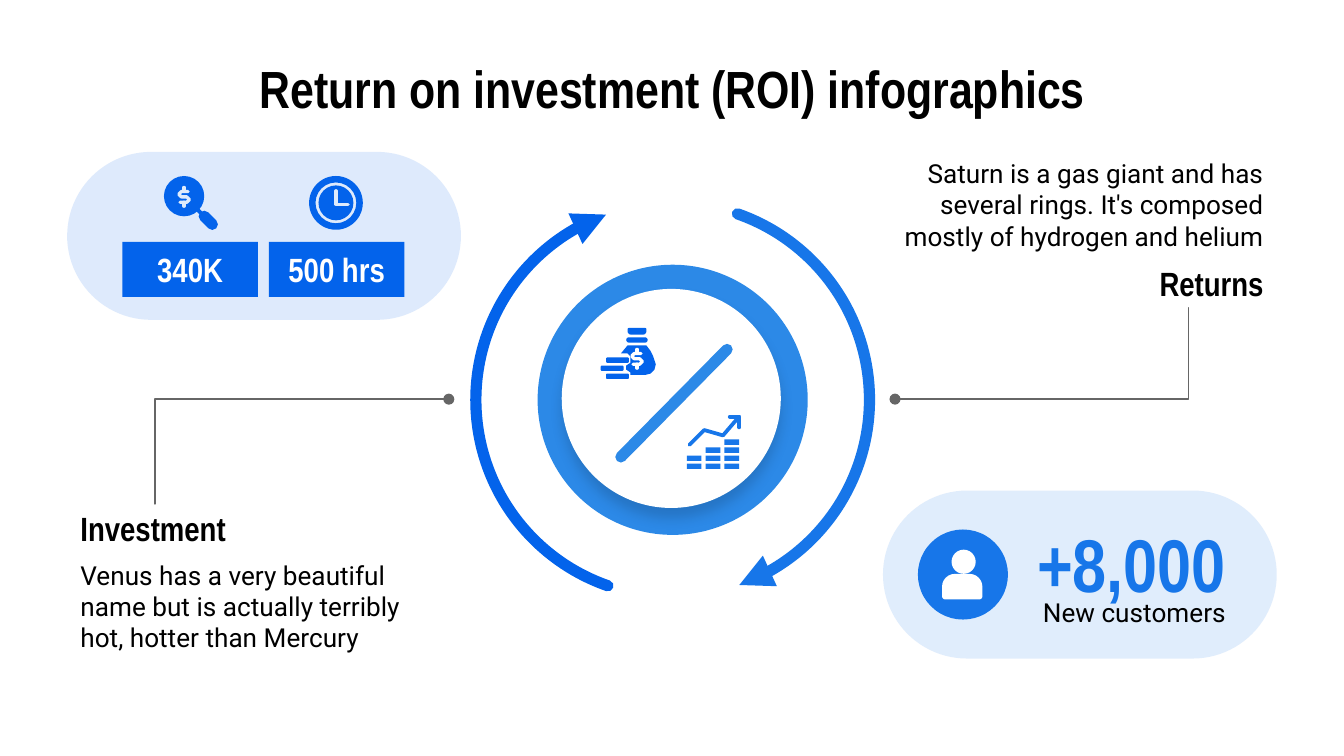
"""Build a slide that sets an investment against its returns around a cycle."""
from dataclasses import dataclass

from lxml import etree
from pptx import Presentation
from pptx.dml.color import RGBColor
from pptx.enum.shapes import MSO_CONNECTOR, MSO_SHAPE
from pptx.enum.text import MSO_ANCHOR, PP_ALIGN
from pptx.oxml.ns import qn
from pptx.util import Inches, Pt

COLORS = {"ink": "000000", "white": "FFFFFF", "grey": "666666", "deep": "0363EB",
          "bright": "1776E9", "ring": "2C89E7", "tint": "DEEBFC"}
HEAD, BODY = "Arial Narrow", "Roboto"
LEFT, CENTER, RIGHT = PP_ALIGN.LEFT, PP_ALIGN.CENTER, PP_ALIGN.RIGHT
MIDDLE = MSO_ANCHOR.MIDDLE
RECT, OVAL, PILL = MSO_SHAPE.RECTANGLE, MSO_SHAPE.OVAL, MSO_SHAPE.ROUNDED_RECTANGLE
ARC, DONUT, CAP = MSO_SHAPE.ARC, MSO_SHAPE.DONUT, MSO_SHAPE.ROUND_2_SAME_RECTANGLE
STRAIGHT, ELBOW = MSO_CONNECTOR.STRAIGHT, MSO_CONNECTOR.ELBOW
TOP_SITE, BOTTOM_SITE = 0, 2

deck = Presentation()
deck.slide_width, deck.slide_height = Inches(10), Inches(5.625)
COLUMN, ROW = deck.slide_width / 10, deck.slide_height / 5.625
slide = deck.slides.add_slide(deck.slide_layouts[5])
shapes = slide.shapes


@dataclass(frozen=True)
class Box:
    """An area in columns and rows of the slide grid."""
    left: float
    top: float
    width: float
    height: float

    def emu(self) -> tuple:
        return (round(self.left * COLUMN), round(self.top * ROW),
                round(self.width * COLUMN), round(self.height * ROW))


@dataclass(frozen=True)
class Topic:
    """A heading with its text and the leader that starts at the cycle."""
    heading: str
    heading_box: Box
    text: str
    text_box: Box
    align: PP_ALIGN
    leader_start: tuple
    site: int


@dataclass(frozen=True)
class Part:
    """One solid piece of an icon."""
    kind: MSO_SHAPE
    box: Box
    color: str
    adjust: tuple = ()


@dataclass(frozen=True)
class Stroke:
    """One drawn line of an icon."""
    points: tuple
    color: str
    weight: float


def rgb(name: str) -> RGBColor:
    return RGBColor.from_string(COLORS[name])


def grid(point: tuple) -> tuple:
    return round(point[0] * COLUMN), round(point[1] * ROW)


def write(target, text: str, *, font=BODY, size=14, color="ink", bold=False, align=LEFT):
    """Put formatted text in a shape."""
    frame = target.text_frame
    frame.word_wrap, frame.vertical_anchor = True, MIDDLE
    frame.margin_left = frame.margin_right = frame.margin_top = frame.margin_bottom = Inches(0.1)
    paragraph = frame.paragraphs[0]
    paragraph.text, paragraph.alignment = text, align
    face = paragraph.runs[0].font
    face.name, face.size, face.bold = font, Pt(size), bold
    face.color.rgb = rgb(color)


def label(box: Box, text: str, **style):
    """Add a text box."""
    holder = shapes.add_textbox(*box.emu())
    write(holder, text, **style)
    return holder


def solid(shape, color: str, opacity: int = 100):
    """Fill a shape and drop its outline and shadow."""
    shape.shadow.inherit = False
    shape.line.fill.background()
    shape.fill.solid()
    shape.fill.fore_color.rgb = rgb(color)
    if opacity < 100:
        shade = shape.element.spPr.find(qn("a:solidFill"))[0]
        etree.SubElement(shade, qn("a:alpha"), val=str(opacity * 1000))


def preset(kind, box: Box, color: str, adjust: tuple = (), opacity: int = 100):
    """Add a filled preset shape."""
    shape = shapes.add_shape(kind, *box.emu())
    for index, value in enumerate(adjust):
        shape.adjustments[index] = value
    solid(shape, color, opacity)
    return shape


def outline(shape, color: str, weight: float, **ends):
    """Style a round line, with optional headEnd and tailEnd."""
    shape.line.color.rgb, shape.line.width = rgb(color), Pt(weight)
    properties = shape.element.spPr
    line = properties.find(qn("a:ln"))
    line.set("cap", "rnd")
    etree.SubElement(line, qn("a:round"))
    for end, style in ends.items():
        etree.SubElement(line, qn(f"a:{end}"), type=style)
    if properties.find(qn("a:effectLst")) is None:
        etree.SubElement(properties, qn("a:effectLst"))


def path_through(points: tuple, close: bool):
    builder = shapes.build_freeform(*grid(points[0]))
    builder.add_line_segments([grid(point) for point in points[1:]], close=close)
    shape = builder.convert_to_shape()
    shape.shadow.inherit = False
    return shape


def draw(piece):
    """Draw a part or a stroke of an icon."""
    if isinstance(piece, Part):
        preset(piece.kind, piece.box, piece.color, piece.adjust)
        return
    shape = path_through(piece.points, False)
    shape.fill.background()
    outline(shape, piece.color, piece.weight)


def dollar(x: float, y: float, color: str) -> list:
    """Give the strokes of a dollar sign centred on a point."""
    curve = ((.03, -.04), (-.02, -.04), (-.04, -.02), (-.02, 0), (.02, 0),
             (.04, .02), (.02, .04), (-.03, .04))
    bars = [((0, -.07), (0, -.04)), ((0, .04), (0, .07))]
    return [Stroke(tuple((x + dx, y + dy) for dx, dy in line), color, 1.75)
            for line in [curve, *bars]]


def add_topic(topic: Topic):
    heading = label(topic.heading_box, topic.heading, font=HEAD, size=18, bold=True,
                    align=topic.align)
    label(topic.text_box, topic.text, align=topic.align)
    start = grid(topic.leader_start)
    leader = shapes.add_connector(ELBOW, *start, *start)
    leader.end_connect(heading, topic.site)
    leader.element.spPr.find(qn("a:prstGeom")).set("prst", "bentConnector2")
    outline(leader, "grey", 0.75, headEnd="oval")


TOPICS = [
    Topic("Investment", Box(0.5, 3.75, 1.31, 0.36),
          "Venus has a very beautiful name but is actually terribly hot, hotter than Mercury",
          Box(0.5, 4.12, 2.83, 0.78), LEFT, (3.34, 2.97), TOP_SITE),
    Topic("Returns", Box(8.19, 1.93, 1.31, 0.36),
          "Saturn is a gas giant and has several rings. It's composed mostly of hydrogen and helium",
          Box(6.5, 1.13, 3, 0.78), RIGHT, (6.66, 2.97), BOTTOM_SITE),
]
MAGNIFIER = [Part(OVAL, Box(1.22, 1.31, 0.3, 0.3), "deep"),
             Stroke(((1.46, 1.55), (1.52, 1.61)), "deep", 2),
             Stroke(((1.52, 1.61), (1.58, 1.67)), "deep", 6), *dollar(1.37, 1.465, "tint")]
CLOCK = [Part(DONUT, Box(2.3, 1.31, 0.4, 0.4), "deep", (0.12,)),
         Part(OVAL, Box(2.37, 1.38, 0.26, 0.26), "deep"),
         Stroke(((2.5, 1.42), (2.5, 1.52), (2.59, 1.52)), "tint", 1.75)]
PERSON = [Part(OVAL, Box(7.08, 4.09, 0.18, 0.18), "white"),
          Part(CAP, Box(7.01, 4.27, 0.3, 0.19), "white", (0.5, 0.12))]
COINS = [Part(PILL, Box(left, top, 0.17, 0.04), "deep", (0.25,))
         for left, top in [(4.51, 2.66), (4.47, 2.72), (4.51, 2.78)]]
TIES = [Part(CAP, Box(4.67, 2.44, 0.14, 0.05), "deep", (0.2, 0.5)),
        Part(PILL, Box(4.66, 2.51, 0.16, 0.04), "deep", (0.5,))]
SACK = ((4.67, 2.57), (4.81, 2.57), (4.84, 2.61), (4.86, 2.65), (4.88, 2.71), (4.87, 2.75),
        (4.84, 2.78), (4.8, 2.79), (4.69, 2.79), (4.69, 2.77), (4.66, 2.75), (4.66, 2.72),
        (4.69, 2.7), (4.69, 2.65), (4.67, 2.63), (4.62, 2.63))
STACKS = [Part(RECT, Box(5.11 + 0.14 * stack, 3.45 - 0.06 * coin, 0.11, 0.04), "bright")
          for stack in range(3) for coin in range(stack + 2)]
TREND = [Stroke(((5.13, 3.31), (5.24, 3.2), (5.38, 3.24), (5.5, 3.1)), "bright", 2),
         Stroke(((5.43, 3.1), (5.5, 3.1), (5.5, 3.18)), "bright", 2)]

title = shapes.title
title.left, title.top, title.width, title.height = Box(0.5, 0.45, 9, 0.41).emu()
write(title, "Return on investment (ROI) infographics", font=HEAD, size=28, bold=True, align=CENTER)

for panel, color in [(Box(0.5, 1.13, 2.93, 1.25), "deep"), (Box(6.57, 3.65, 2.93, 1.25), "bright")]:
    preset(PILL, panel, color, (0.5,), opacity=13)

preset(OVAL, Box(4, 1.97, 2.01, 2.01), "ring")
hub = preset(OVAL, Box(4.18, 2.15, 1.63, 1.63), "white")
shadow = etree.SubElement(hub.element.spPr.find(qn("a:effectLst")), qn("a:outerShdw"),
                          blurRad=str(Pt(6.8)), dist=str(Pt(5.2)), dir="5400000",
                          algn="bl", rotWithShape="0")
shade = etree.SubElement(shadow, qn("a:srgbClr"), val=COLORS["ink"])
etree.SubElement(shade, qn("a:alpha"), val="15000")

for rotation, color in [(0, "bright"), (180, "deep")]:
    cycle = preset(ARC, Box(3.54, 1.51, 2.93, 2.93), color, (173.53, 42.12))
    cycle.fill.background()
    cycle.rotation = rotation
    outline(cycle, color, 6, tailEnd="triangle")

for topic in TOPICS:
    add_topic(topic)

for index, amount in enumerate(["340K", "500 hrs"]):
    cost = preset(RECT, Box(0.91 + 1.09 * index, 1.8, 1.01, 0.41), "deep")
    write(cost, amount, font=HEAD, size=18, color="white", bold=True, align=CENTER)

preset(OVAL, Box(6.83, 3.94, 0.67, 0.67), "bright")
label(Box(7.46, 4.46, 1.76, 0.19), "New customers", align=RIGHT)
label(Box(7.46, 3.91, 1.76, 0.55), "+8,000", font=HEAD, size=40, color="bright", bold=True,
      align=RIGHT)

solid(path_through(SACK, True), "deep")
for piece in [*MAGNIFIER, *CLOCK, *PERSON, *COINS, *TIES, *dollar(4.74, 2.67, "white"),
              *STACKS, *TREND]:
    draw(piece)

slash = shapes.add_connector(STRAIGHT, *grid((4.62, 3.4)), *grid((5.41, 2.6)))
outline(slash, "ring", 6)

deck.save("out.pptx")
